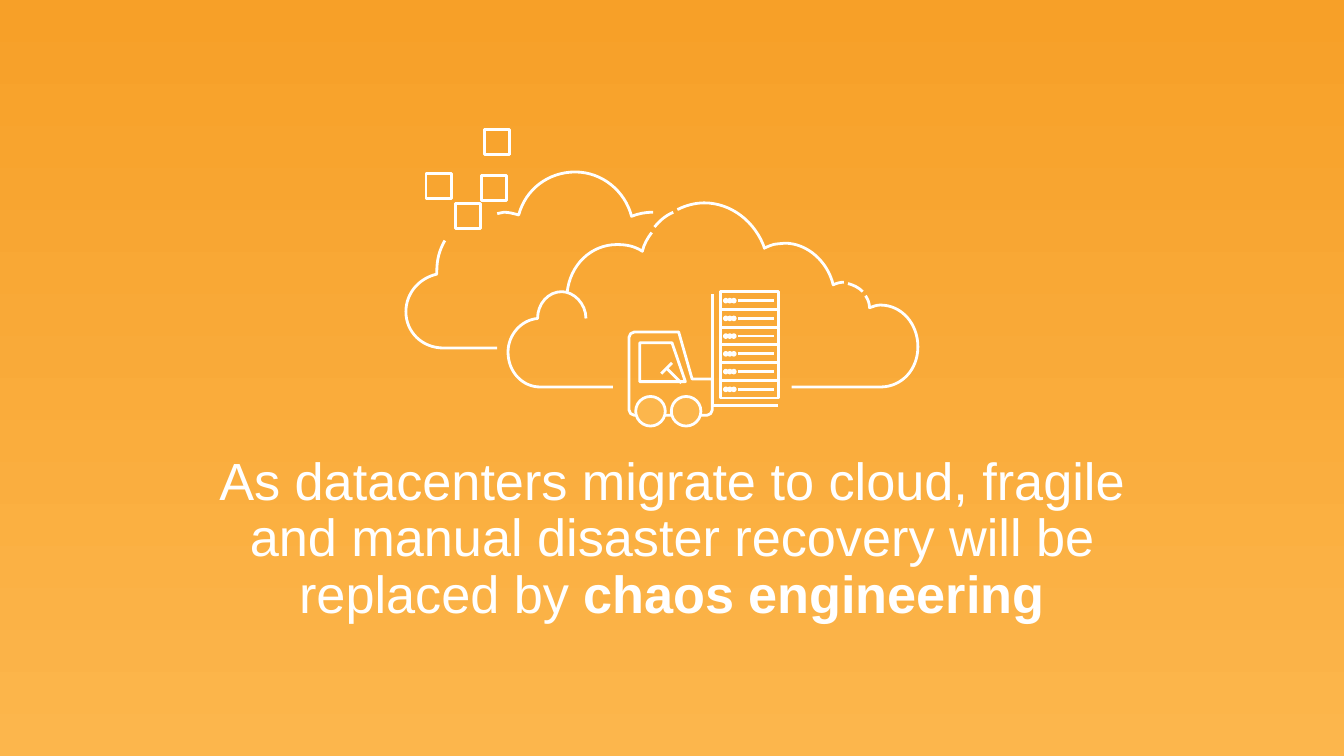
"""Build the chaos engineering slide with its cloud migration drawing."""
from lxml import etree
from pptx import Presentation
from pptx import util as u
from pptx.dml.color import RGBColor
from pptx.enum import shapes, text
from pptx.oxml import ns

WHITE = RGBColor(0xFF, 0xFF, 0xFF)
ORANGE = RGBColor(0xF7, 0xA0, 0x28)
AMBER = RGBColor(0xFC, 0xB6, 0x4C)
FONT = "Arial"
STROKE = u.Pt(1.5)
UNIT_CM = 0.0254
MARGIN = 1.5

REAR_TOP = [(370, 159), (372, 158, 373, 158, 375, 158), (379, 158, 382, 159, 386, 160),
            (391, 141, 408, 128, 428, 128), (448, 128, 465, 142, 470, 161),
            (475, 159, 480, 158, 486, 158)]
REAR_LEFT = [(331, 179), (327, 186, 325, 193, 325, 202), (325, 202, 325, 204, 325, 204),
             (312, 207, 302, 218, 302, 232), (302, 247, 314, 259, 330, 259), (370, 259)]
FRONT_LEFT = [(436, 237), (436, 226, 427, 217, 418, 217), (408, 217, 400, 226, 400, 237),
              (400, 237), (388, 238, 378, 249, 378, 262), (378, 277, 389, 288, 402, 288),
              (427, 288, 431, 288, 456, 288)]
FRONT_ARCS = [
    [(485, 173), (482, 177, 479, 182, 478, 187), (472, 183, 466, 182, 459, 182),
     (440, 182, 424, 197, 422, 218)],
    [(501, 158), (496, 160, 491, 164, 487, 169)],
    [(569, 185), (562, 165, 544, 151, 524, 151), (517, 151, 510, 153, 504, 156)],
    [(628, 210), (625, 210, 622, 211, 620, 212), (616, 195, 601, 181, 584, 181),
     (575, 182, 577, 181, 568, 185)],
    [(642, 217), (639, 214, 635, 212, 631, 211)],
    [(644, 220), (646, 223, 647, 226, 647, 229), (650, 228, 652, 227, 655, 227),
     (671, 227, 683, 241, 683, 258), (683, 275, 671, 288, 655, 288), (589, 288)],
]
PIXELS = [(360.5, 96.2), (358, 130.7), (338.8, 151.3), (317, 129)]
PIXEL_SIZE = 18.7
FORK = [(579, 301.5), (530, 301.5), (530, 219)]
CAB = [(472, 247), (505, 247), (515, 282), (530, 282), (530, 305),
       (530, 307, 528, 309, 526, 309), (472, 309), (470, 309, 468, 307, 468, 305),
       (468, 251), (468, 249, 470, 247, 472, 247)]
WINDOW = [(476, 255), (476, 284), (510, 284), (500, 255), (476, 255)]


def length(units):
    return u.Cm(units * UNIT_CM)


class Sketch:
    """Hold the line style, the slide and the group being drawn."""

    def __init__(self, slide):
        self.slide = slide
        self.group = None

    def background(self, top, bottom):
        fill = self.slide.background.fill
        fill.gradient()
        fill.gradient_angle = 270
        for stop, color, position in zip(fill.gradient_stops, (top, bottom), (0, 1)):
            stop.color.rgb = color
            stop.position = position

    def start_group(self):
        self.group = self.slide.shapes.add_group_shape().shapes

    def stroke(self, line):
        line.color.rgb = WHITE
        line.width = STROKE
        etree.SubElement(line._get_or_add_ln(), ns.qn("a:round"))

    def finish(self, shape, fill=None):
        shape.shadow.inherit = False
        if fill is None:
            shape.fill.background()
        else:
            shape.fill.solid()
            shape.fill.fore_color.rgb = fill
        self.stroke(shape.line)

    def outline(self, *contours, close=False, margin=0):
        builder = None
        for contour in contours:
            start = [length(v) for v in contour[0]]
            if builder is None:
                builder = self.group.build_freeform(*start)
            else:
                builder.move_to(*start)
            points = [(length(x), length(y)) for segment in contour[1:]
                      for x, y in zip(segment[::2], segment[1::2])]
            builder.add_line_segments(points, close=close)
        shape = builder.convert_to_shape()
        self.bend(shape, [segment for contour in contours for segment in contour[1:]])
        self.pad(shape, length(margin))
        self.finish(shape)

    def bend(self, shape, segments):
        steps = iter(list(shape._element.iter(ns.qn("a:lnTo"))))
        for segment in segments:
            step = next(steps)
            if len(segment) == 6:
                step.tag = ns.qn("a:cubicBezTo")
                for _ in range(2):
                    extra = next(steps)
                    step.append(extra[0])
                    extra.getparent().remove(extra)

    def pad(self, shape, margin):
        track = next(shape._element.iter(ns.qn("a:path")))
        for point in track.iter(ns.qn("a:pt")):
            for axis in "xy":
                point.set(axis, str(int(point.get(axis)) + margin))
        shape.left, shape.top = shape.left - margin, shape.top - margin
        shape.width, shape.height = shape.width + 2 * margin, shape.height + 2 * margin
        track.set("w", str(shape.width))
        track.set("h", str(shape.height))

    def preset(self, kind, left, top, width, height, fill=None):
        box = [length(v) for v in (left, top, width, height)]
        self.finish(self.group.add_shape(kind, *box), fill)

    def line(self, *ends):
        connector = self.group.add_connector(
            shapes.MSO_CONNECTOR.STRAIGHT, *(length(v) for v in ends))
        self.stroke(connector.line)
        etree.SubElement(connector._element.spPr, ns.qn("a:effectLst"))

    def title(self, left, top, width, height, message, emphasis):
        title = self.slide.shapes.title
        title.left, title.top, title.width, title.height = (
            length(v) for v in (left, top, width, height))
        frame = title.text_frame
        frame.word_wrap = True
        frame.auto_size = text.MSO_AUTO_SIZE.SHAPE_TO_FIT_TEXT
        frame.vertical_anchor = text.MSO_ANCHOR.TOP
        paragraph = frame.paragraphs[0]
        paragraph.alignment = text.PP_ALIGN.CENTER
        paragraph.line_spacing = 0.9
        paragraph.font.name = FONT
        paragraph.font.size = u.Pt(28)
        paragraph.font.color.rgb = WHITE
        paragraph.add_run().text = message
        strong = paragraph.add_run()
        strong.text = emphasis
        strong.font.bold = True


def draw_clouds(sketch):
    sketch.start_group()
    sketch.outline(REAR_TOP)
    sketch.outline(REAR_LEFT, margin=MARGIN)
    for left, top in PIXELS:
        right, bottom = left + PIXEL_SIZE, top + PIXEL_SIZE
        sketch.outline([(left, top), (right, top), (right, bottom), (left, bottom)],
                       close=True, margin=MARGIN)
    sketch.outline([(379, 115), (379, 97)], margin=MARGIN)
    sketch.outline(FRONT_LEFT)
    for arc in FRONT_ARCS:
        sketch.outline(arc, margin=MARGIN)


def draw_forklift(sketch):
    sketch.start_group()
    sketch.outline(FORK)
    sketch.line(492, 278, 500, 270)
    sketch.line(496, 274, 507, 285)
    sketch.outline(CAB, WINDOW, close=True)
    for left in (473, 499.5):
        sketch.preset(shapes.MSO_SHAPE.OVAL, left, 295, 22, 22, AMBER)
    for server in range(6):
        top = 283 - 13.2 * server
        sketch.preset(shapes.MSO_SHAPE.RECTANGLE, 536, top, 43.5, 13.2)
        sketch.line(549, top + 6.7, 576, top + 6.7)
        for light in range(3):
            sketch.preset(shapes.MSO_SHAPE.OVAL, 539 + 3 * light, top + 5.7, 2, 2)


def main():
    deck = Presentation()
    deck.slide_width, deck.slide_height = length(1000), length(562.5)
    sketch = Sketch(deck.slides.add_slide(deck.slide_layouts[5]))
    sketch.background(ORANGE, AMBER)
    sketch.title(125.4, 333.5, 749, 137,
                 "As datacenters migrate to cloud, fragile and manual disaster "
                 "recovery will be replaced by ", "chaos engineering")
    draw_clouds(sketch)
    draw_forklift(sketch)
    deck.save("out.pptx")


if __name__ == "__main__":
    main()
